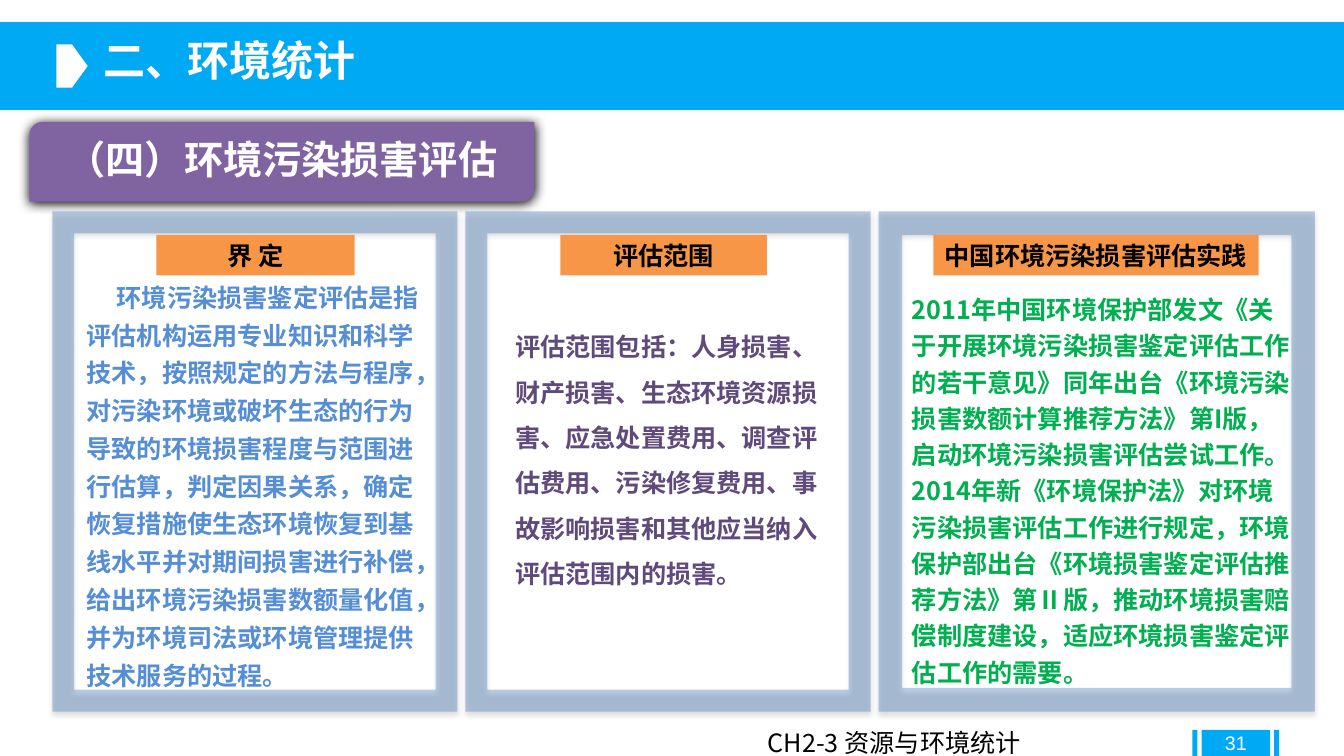
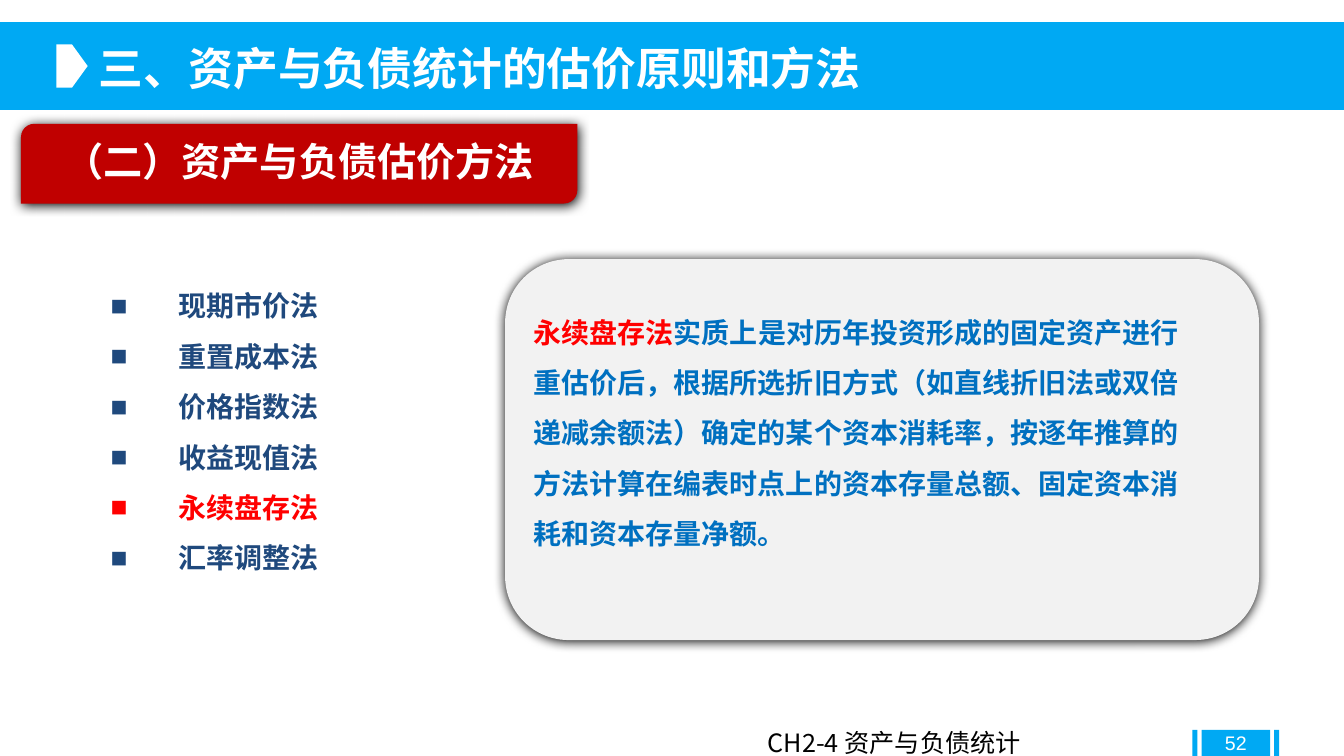
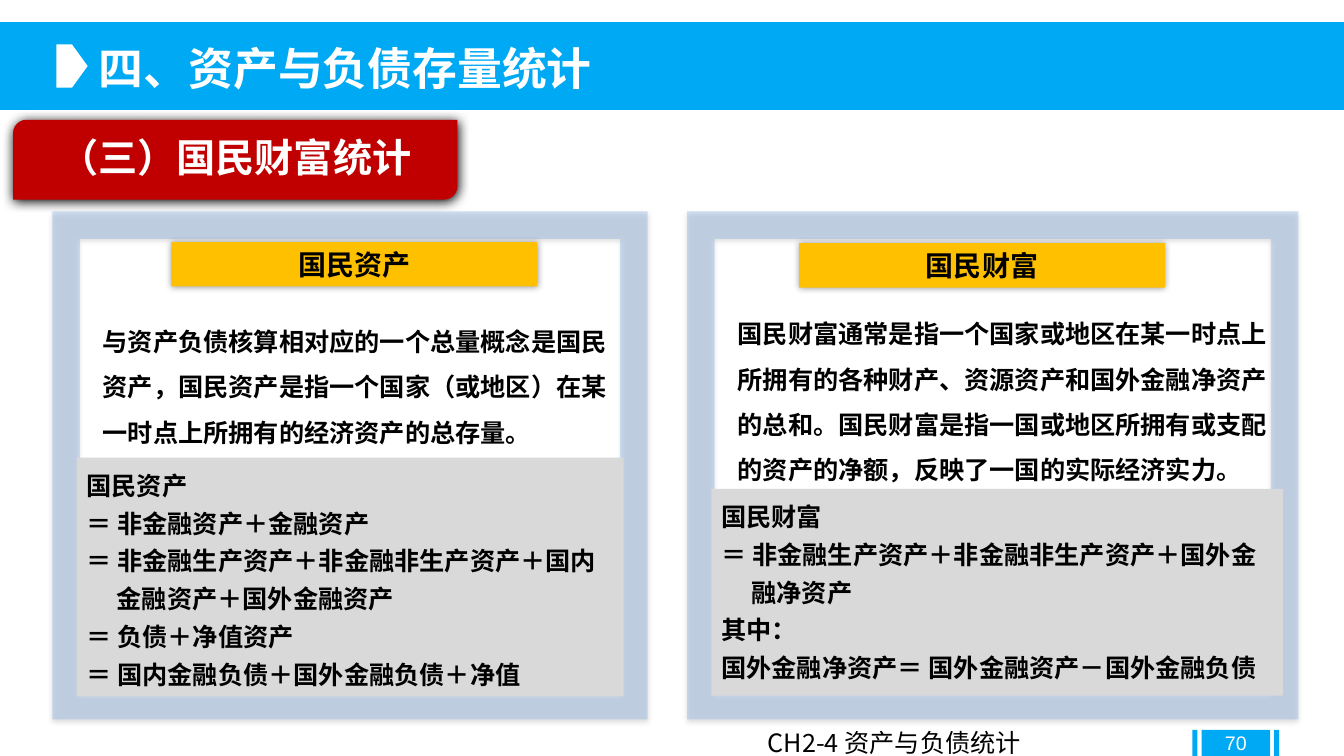
from dataclasses import dataclass

from lxml import etree
from pptx import Presentation
from pptx.dml.color import RGBColor
from pptx.enum.lang import MSO_LANGUAGE_ID
from pptx.enum.shapes import MSO_SHAPE
from pptx.enum.text import MSO_ANCHOR, PP_ALIGN
from pptx.oxml.ns import qn
from pptx.util import Cm, Pt

RECT = MSO_SHAPE.RECTANGLE
ROUND = MSO_SHAPE.ROUNDED_RECTANGLE
TAG = MSO_SHAPE.ROUND_2_DIAG_RECTANGLE
ARROW = MSO_SHAPE.PENTAGON
FRAME = MSO_SHAPE.FRAME
LEFT, CENTER = PP_ALIGN.LEFT, PP_ALIGN.CENTER
TOP, MIDDLE = MSO_ANCHOR.TOP, MSO_ANCHOR.MIDDLE
CHINESE = MSO_LANGUAGE_ID.SIMPLIFIED_CHINESE


@dataclass(frozen=True)
class Theme:
    # Fonts and type sizes
    font: str = "Noto Sans CJK SC"
    digit: str = "Arial"
    title: int = 32
    tag: int = 28
    large: int = 20
    body: int = 18
    small: int = 14
    # Colours
    white: str = "FFFFFF"
    black: str = "000000"
    band: str = "00A9F3"
    plum: str = "8064A2"
    grape: str = "604A7B"
    wine: str = "C00000"
    red: str = "FF0000"
    navy: str = "1F497D"
    blue: str = "0070C0"
    sky: str = "558ED5"
    green: str = "00B050"
    steel: str = "4F81BD"
    pale: str = "8EB4E3"
    orange: str = "F79646"
    gold: str = "FFC000"
    light: str = "F2F2F2"
    grey: str = "D9D9D9"
    # Shadows: opacity %, blur pt, distance pt, angle
    deep: tuple = (100, 8.5, 1, 90)
    soft: tuple = (32, 3.5, 2.2, 90)
    glow: tuple = (40, 5, 0, 0)


T = Theme()


class Deck:
    def __init__(self):
        self.prs = Presentation()
        self.prs.slide_width, self.prs.slide_height = Cm(33.87), Cm(19.05)

    def page(self, title, foot, num, x=2.24, y=0.89, high=5.46, size=T.title):
        """Start a slide with its band, title and footer."""
        self.slide = self.prs.slides.add_slide(self.prs.slide_layouts[6])
        self.shape(RECT, (0, 0.56, 33.87, 2.21), T.band)
        for left, wide in ((30.28, 1.73), (32.11, 0.13), (30.05, 0.13)):
            self.shape(RECT, (left, 18.39, wide, 0.69), T.band)
        wide = round(len(title) * size / 72 * 2.54 + 0.65, 2)
        self.text((x, y, wide, high), title, T.white, size)
        self.shape(ARROW, (1.42, 1.12, 0.79, 1.09), T.white)
        self.text((19.1, 18.21, 10.9, 1.02), foot, T.black, bold=False)
        self.text((30.28, 18.21, 1.73, 1.02), num, T.white, T.small,
                  align=CENTER, anchor=MIDDLE, bold=False, font=T.digit)

    def shape(self, kind, box, fill, shade=None, alpha=None, adj=None):
        """Add a filled shape without an outline."""
        item = self.slide.shapes.add_shape(kind, *map(Cm, box))
        item.fill.solid()
        item.fill.fore_color.rgb = RGBColor.from_string(fill)
        item.line.fill.background()
        item.shadow.inherit = False
        props = item.element.spPr
        if adj is not None:
            item.adjustments[0] = adj
        if alpha:
            self.alpha(props.find(".//" + qn("a:srgbClr")), alpha)
        if shade:
            clear, blur, dist, angle = shade
            node = etree.SubElement(
                props.find(qn("a:effectLst")), qn("a:outerShdw"),
                blurRad=str(Pt(blur)), dist=str(Pt(dist)),
                dir=str(angle * 60000), algn="ctr", rotWithShape="0")
            self.alpha(etree.SubElement(node, qn("a:srgbClr"), val=T.black),
                       clear)
        return item

    def alpha(self, node, part):
        etree.SubElement(node, qn("a:alpha"), val=str(part * 1000))

    def text(self, box, *args, **opts):
        """Add a text box."""
        self.label(self.slide.shapes.add_textbox(*map(Cm, box)),
                   *args, **opts)

    def label(self, item, paras, color, size=T.body, align=LEFT, anchor=TOP,
              space=1.0, after=0, left=0, first=0, pads=None, bullet=None,
              bold=True, font=T.font):
        """Fill a shape; a paragraph is a string or a list of (text, colour)."""
        frame = item.text_frame
        frame.word_wrap = True
        frame.vertical_anchor = anchor
        if pads:
            (frame.margin_left, frame.margin_top,
             frame.margin_right, frame.margin_bottom) = map(Cm, pads)
        for i, runs in enumerate([paras] if isinstance(paras, str) else paras):
            para = frame.add_paragraph() if i else frame.paragraphs[0]
            para.alignment, para.line_spacing = align, space
            if after:
                para.space_after = Pt(after)
            props = para._p.get_or_add_pPr()
            if left or first:
                props.set("marL", str(Cm(left)))
                props.set("indent", str(Cm(first)))
            if bullet:
                etree.SubElement(props, qn("a:buFont"), typeface=T.digit)
                etree.SubElement(props, qn("a:buChar"), char=bullet)
            for words, tint in ([(runs, color)] if isinstance(runs, str)
                                else runs):
                run = para.add_run()
                run.text = words
                style = run.font
                style.size, style.bold, style.name = Pt(size), bold, font
                style.language_id = CHINESE
                style.color.rgb = RGBColor.from_string(tint)
                etree.SubElement(run._r.get_or_add_rPr(), qn("a:ea"),
                                 typeface=font)

    def tag(self, x, y, wide, words, fill):
        """Section tag under the band."""
        item = self.shape(TAG, (x, y, wide, 2.01), fill, T.deep)
        self.label(item, words, T.white, T.tag, CENTER, MIDDLE, 0.9, 10,
                   pads=(0.79, 0.3, 0.79, 0.3))

    def frames(self, widths, gap, high, fill):
        """Row of translucent frames."""
        x = 1.32
        for wide in widths:
            self.shape(FRAME, (x, 5.33, wide, high), fill, T.soft, 40, 0.054)
            x += wide + gap

    def head(self, box, words, fill, size=T.body, shade=None):
        """Heading bar of a frame."""
        self.label(self.shape(RECT, box, fill, shade), words, T.black, size,
                   CENTER, MIDDLE)

    def sums(self, box, lines):
        """Grey box of formulas with hanging lines."""
        self.label(self.shape(RECT, box, T.grey), lines, T.black,
                   space=1.25, left=0.76, first=-0.76)


def damage(deck):
    deck.page("二、环境统计", "CH2-3 资源与环境统计", "31",
              x=2.36, y=0.74, high=4.11, size=30)
    deck.tag(0.74, 3.07, 12.73, "（四）环境污染损害评估", T.plum)
    deck.frames((10.21, 10.21, 11), 0.2, 12.6, T.steel)
    # Column texts
    deck.text((1.93, 6.73, 8.99, 10.85),
              "环境污染损害鉴定评估是指评估机构运用专业知识和科学技术，"
              "按照规定的方法与程序，对污染环境或破坏生态的行为导致的"
              "环境损害程度与范围进行估算，判定因果关系，确定恢复措施使"
              "生态环境恢复到基线水平并对期间损害进行补偿，给出环境污染"
              "损害数额量化值，并为环境司法或环境管理提供技术服务的过程。",
              T.sky, anchor=MIDDLE, space=1.25, first=0.76)
    deck.text((12.73, 7.85, 8.41, 7.04),
              "评估范围包括：人身损害、财产损害、生态环境资源损害、"
              "应急处置费用、调查评估费用、污染修复费用、事故影响损害和"
              "其他应当纳入评估范围内的损害。", T.grape, space=1.5)
    deck.text((22.73, 7.14, 10.21, 10.54),
              "2011年中国环境保护部发文《关于开展环境污染损害鉴定评估工作的"
              "若干意见》同年出台《环境污染损害数额计算推荐方法》第I版，"
              "启动环境污染损害评估尝试工作。2014年新《环境保护法》对环境"
              "污染损害评估工作进行规定，环境保护部出台《环境损害鉴定评估"
              "推荐方法》第Ⅱ版，推动环境损害赔偿制度建设，适应环境损害鉴定"
              "评估工作的需要。", T.green, space=1.2)
    # Column headings
    for x, wide, words in ((3.94, 5, "界 定"), (14.12, 5.21, "评估范围"),
                           (23.52, 8.2, "中国环境污染损害评估实践")):
        deck.head((x, 5.92, wide, 1.02), words, T.orange)


def methods(deck):
    deck.page("三、资产与负债统计的估价原则和方法",
              "CH2-4 资产与负债统计", "52")
    # Method list
    deck.text((2.54, 6.73, 9.65, 7.95),
              ["现期市价法", "重置成本法", "价格指数法", "收益现值法",
               [("永续盘存法", T.red)], "汇率调整法"],
              T.navy, T.large, space=1.5, left=1.7, first=-1.7, bullet="■")
    # Explanation card
    card = deck.shape(ROUND, (12.73, 6.53, 19, 9.6), T.light, T.deep,
                      adj=0.167)
    deck.label(card, [[
        ("永续盘存法", T.red),
        ("实质上是对历年投资形成的固定资产进行重估价后，根据所选折旧方式"
         "（如直线折旧法或双倍递减余额法）确定的某个资本消耗率，按逐年推算的"
         "方法计算在编表时点上的资本存量总额、固定资本消耗和资本存量净额。",
         T.blue)]],
        T.blue, T.large, anchor=MIDDLE, space=1.5,
        pads=(0.25, 0.13, 1.27, 1.4))
    deck.tag(0.53, 3.12, 14.02, "（二）资产与负债估价方法", T.wine)


def wealth(deck):
    deck.page("四、资产与负债存量统计", "CH2-4 资产与负债统计", "70")
    deck.tag(0.33, 3.02, 11.2, "（三）国民财富统计", T.wine)
    deck.frames((15, 15.4), 1, 12.8, T.pale)
    # Headings
    for x, y, words in ((4.32, 6.1, "国民资产"), (20.14, 6.13, "国民财富")):
        deck.head((x, y, 9.22, 1.12), words, T.gold, T.large, T.glow)
    # National assets
    deck.text((2.34, 7.72, 13.59, 3.71),
              "与资产负债核算相对应的一个总量概念是国民资产，国民资产是指"
              "一个国家（或地区）在某一时点上所拥有的经济资产的总存量。",
              T.black, space=1.5)
    deck.sums((1.93, 11.53, 13.79, 6.02),
              ["国民资产",
               "＝ 非金融资产＋金融资产",
               "＝ 非金融生产资产＋非金融非生产资产＋国内金融资产＋国外金融资产",
               "＝ 负债＋净值资产",
               "＝ 国内金融负债＋国外金融负债＋净值"])
    # National wealth
    deck.text((18.34, 7.52, 14, 4.75),
              "国民财富通常是指一个国家或地区在某一时点上所拥有的各种财产、"
              "资源资产和国外金融净资产的总和。国民财富是指一国或地区所拥有或"
              "支配的资产的净额，反映了一国的实际经济实力。",
              T.black, space=1.5)
    deck.sums((17.93, 12.32, 14.4, 5.21),
              ["国民财富",
               "＝ 非金融生产资产＋非金融非生产资产＋国外金融净资产",
               "其中：",
               "国外金融净资产＝ 国外金融资产－国外金融负债"])


def main():
    deck = Deck()
    for build in (damage, methods, wealth):
        build(deck)
    deck.prs.save("out.pptx")


if __name__ == "__main__":
    main()
